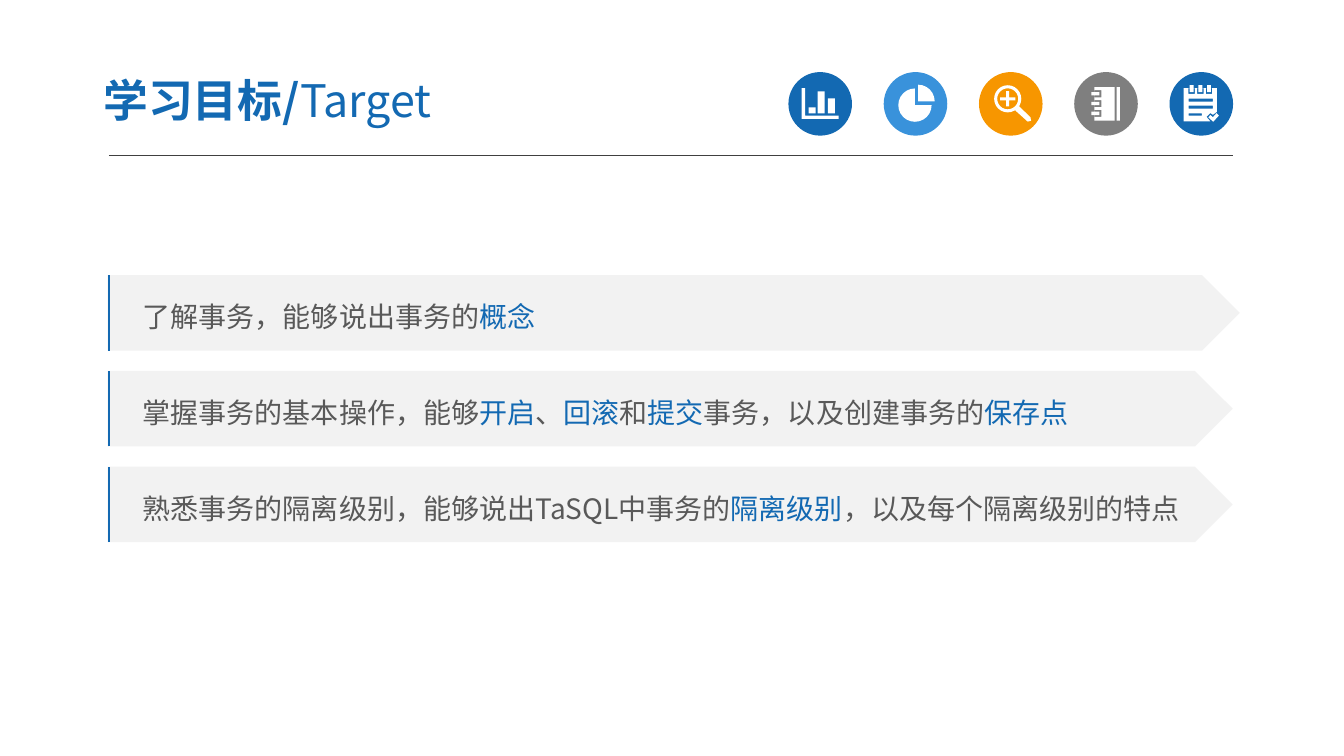
import math

import pptx
import pptx.dml.color
import pptx.enum.shapes
import pptx.enum.text
import pptx.oxml.ns
import pptx.util
from lxml import etree

Pt = pptx.util.Pt
SHAPE = pptx.enum.shapes.MSO_SHAPE
FONT = "Noto Sans CJK SC"
COLORS = {
    "blue": "1369B2", "sky": "3992DB", "orange": "F79600", "grey": "7F7F7F",
    "white": "FFFFFF", "band": "F2F2F2", "text": "595959", "rule": "404040",
}
RGB = {name: pptx.dml.color.RGBColor.from_string(c) for name, c in COLORS.items()}

presentation = pptx.Presentation()
presentation.slide_width, presentation.slide_height = Pt(960), Pt(540)
slide = presentation.slides.add_slide(presentation.slide_layouts[5])


def add_run(paragraph, text, size, color, bold=False):
    run = paragraph.add_run()
    run.text = text
    run.font.size = Pt(size)
    run.font.bold = bold
    run.font.name = FONT
    run.font.color.rgb = RGB[color]
    east_asian = etree.SubElement(run.font._element, pptx.oxml.ns.qn("a:ea"))
    east_asian.set("typeface", FONT)


def add_stroke(x1, y1, x2, y2, color, weight):
    stroke = slide.shapes.add_connector(
        pptx.enum.shapes.MSO_CONNECTOR.STRAIGHT, Pt(x1), Pt(y1), Pt(x2), Pt(y2))
    stroke.line.color.rgb = RGB[color]
    stroke.line.width = Pt(weight)
    etree.SubElement(stroke._element.spPr, pptx.oxml.ns.qn("a:effectLst"))


# Title
title = slide.shapes.title
title.left, title.top, title.width, title.height = Pt(64.4), Pt(45.4), Pt(376), Pt(51.8)
heading = title.text_frame
heading.auto_size = pptx.enum.text.MSO_AUTO_SIZE.NONE
heading.vertical_anchor = pptx.enum.text.MSO_ANCHOR.MIDDLE
heading.margin_left = heading.margin_right = Pt(9.4)
heading.margin_top = heading.margin_bottom = Pt(5)
heading.paragraphs[0].alignment = pptx.enum.text.PP_ALIGN.LEFT
add_run(heading.paragraphs[0], "学习目标/", 32, "blue", bold=True)
add_run(heading.paragraphs[0], "Target", 32, "blue")

# Header rule
add_stroke(77.8, 111.3, 880.6, 111.3, "rule", 0.75)

# Icon outlines inside a disc; a nested outline cuts a hole.
# Four numbers: box (x, y, w, h). Five: arc (x, y, radius, from, to). List: corners.
bar_chart = [[(9.4, 11.5), (12, 11.5), (12, 31), (35.8, 31), (35.8, 33.4), (9.4, 33.4)],
             (14.4, 25.2, 5, 4.3), (20.9, 13.7, 5, 15.8), (28.1, 18.7, 5, 10.8)]
pie = [(22.3, 23.6, 11.9, 0, 270), (24.5, 20.9, 11.9, 270, 360)]
magnifier = [(20.5, 19.1, 9.7, 0, 360), (20.5, 19.1, 7.5, 0, 360),
             [(15.1, 18), (19.4, 18), (19.4, 13.7), (21.6, 13.7), (21.6, 18), (25.9, 18),
              (25.9, 20.2), (21.6, 20.2), (21.6, 24.5), (19.4, 24.5), (19.4, 20.2), (15.1, 20.2)],
             [(25.9, 27.4), (28.8, 24.5), (36.8, 32.4), (37.2, 34.8), (34.8, 35.4)]]
notebook = [(14.4, 10.8, 14.4, 23.8), (30.2, 10.8, 2.4, 23.8)]
for middle in (15.5, 22.5, 29.5):
    notebook += [(14.4, middle - 2.5, 5, 5), (12.2, middle - 1.2, 5.8, 2.4)]
notepad = [[(10.1, 11.5), (33.9, 11.5), (33.9, 28.4), (31, 30.5), (29.2, 29.3),
            (26.5, 32), (29.2, 35.3), (10.1, 35.3)],
           (13.7, 18.9, 17.3, 2.2), (13.7, 24, 17.3, 2.2), (13.7, 29.5, 9.4, 1.6),
           [(27.7, 32.3), (29.2, 30.7), (31, 32.2), (33.6, 29.3), (35.3, 31), (31.2, 35.5)]]
for middle in (15.8, 22, 28.2):
    notepad += [(middle - 2.3, 11.5, 4.6, 4), (middle - 1.4, 9.4, 2.8, 5)]

# Icon discs
DISC_LEFT, DISC_TOP, DISC_STEP, DISC_SIZE = 563.2, 51.5, 68.05, 45.4
icons = [("blue", bar_chart), ("sky", pie), ("orange", magnifier),
         ("grey", notebook), ("blue", notepad)]
for i, (color, outlines) in enumerate(icons):
    left = DISC_LEFT + i * DISC_STEP
    disc = slide.shapes.add_shape(
        SHAPE.OVAL, Pt(left), Pt(DISC_TOP), Pt(DISC_SIZE), Pt(DISC_SIZE))
    builder = None
    for outline in outlines:
        if isinstance(outline, list):
            corners = outline
        elif len(outline) == 4:
            x, y, w, h = outline
            corners = [(x, y), (x + w, y), (x + w, y + h), (x, y + h)]
        else:
            x, y, radius, start, end = outline
            angles = [math.radians(a) for a in range(start, end + 1, 15)]
            corners = [(x + radius * math.cos(a), y + radius * math.sin(a)) for a in angles]
            if end - start < 360:
                corners.append((x, y))
        points = [(Pt(left + x), Pt(DISC_TOP + y)) for x, y in corners]
        if builder is None:
            builder = slide.shapes.build_freeform(*points[0])
        else:
            builder.move_to(*points[0])
        builder.add_line_segments(points[1:], close=True)
    symbol = builder.convert_to_shape()
    for part, fill in [(disc, color), (symbol, "white")]:
        part.shadow.inherit = False
        part.fill.solid()
        part.fill.fore_color.rgb = RGB[fill]
        part.line.fill.background()

# Learning goals: band width and text runs
BAND_LEFT, BAND_TOP, BAND_STEP, BAND_HEIGHT, EDGE = 77, 196.5, 68.4, 54, 77.8
goals = [
    (808.6, [("了解事务，能够说出事务的", "text"), ("概念", "blue")]),
    (803.5, [("掌握事务的基本操作，能够", "text"), ("开启", "blue"), ("、", "text"),
             ("回滚", "blue"), ("和", "text"), ("提交", "blue"),
             ("事务，以及创建事务的", "text"), ("保存点", "blue")]),
    (803.5, [("熟悉事务的隔离级别，能够说出TaSQL中事务的", "text"),
             ("隔离级别", "blue"), ("，以及每个隔离级别的特点", "text")]),
]
for i, (width, runs) in enumerate(goals):
    top = BAND_TOP + i * BAND_STEP
    band = slide.shapes.add_shape(
        SHAPE.PENTAGON, Pt(BAND_LEFT), Pt(top), Pt(width), Pt(BAND_HEIGHT))
    band.shadow.inherit = False
    band.fill.solid()
    band.fill.fore_color.rgb = RGB["band"]
    band.line.fill.background()
    goal = band.text_frame
    goal.word_wrap = True
    goal.margin_left = Pt(25)
    goal.margin_right = Pt(0)
    goal.vertical_anchor = pptx.enum.text.MSO_ANCHOR.MIDDLE
    goal.paragraphs[0].alignment = pptx.enum.text.PP_ALIGN.LEFT
    goal.paragraphs[0].line_spacing = 1.2
    for text, color in runs:
        add_run(goal.paragraphs[0], text, 20, color)
    add_stroke(EDGE, top + BAND_HEIGHT, EDGE, top, "blue", 1.5)

presentation.save("out.pptx")
